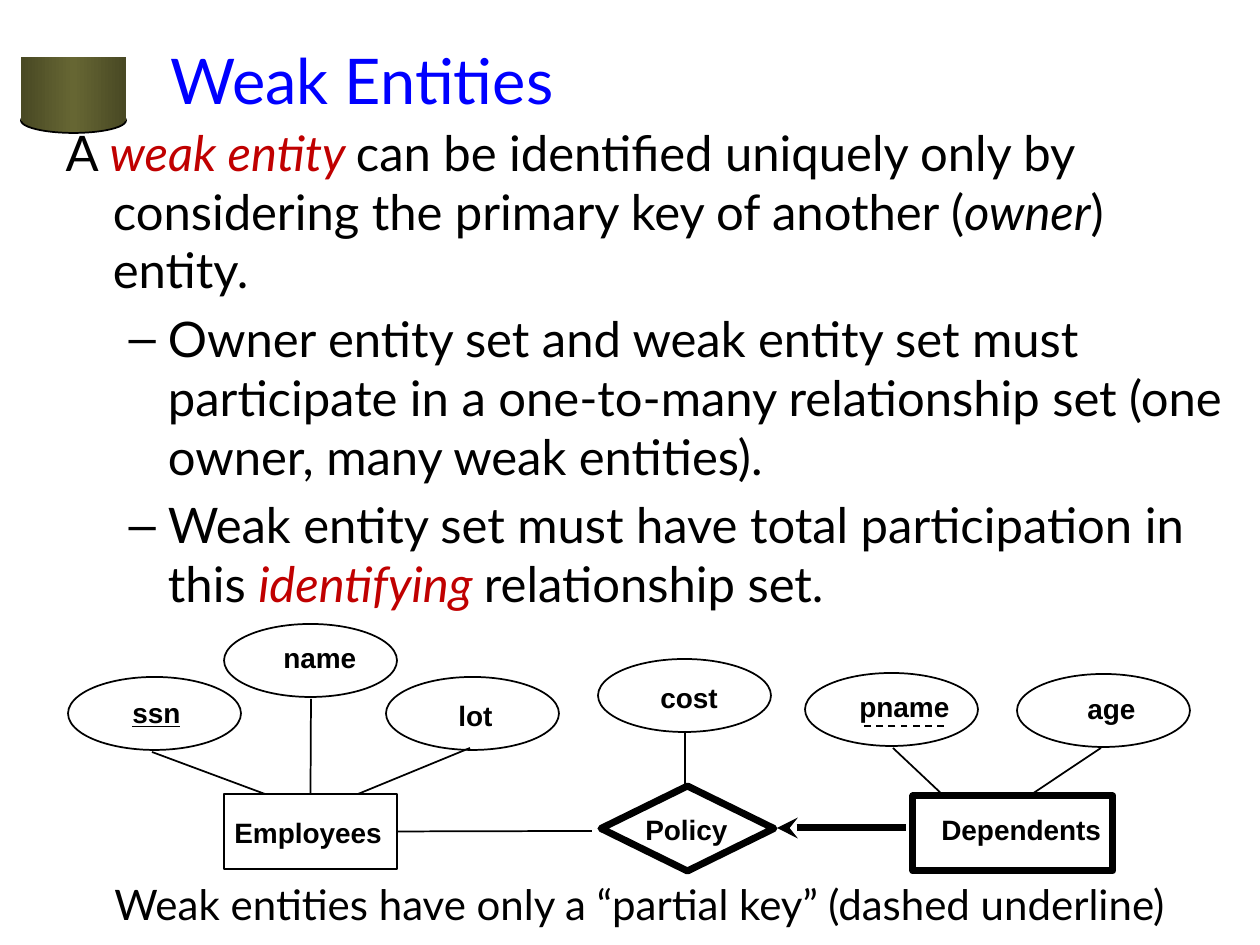
from dataclasses import dataclass

from lxml.etree import SubElement
from pptx import Presentation
from pptx.dml.color import RGBColor
from pptx.enum.dml import MSO_LINE_DASH_STYLE as Dash
from pptx.enum.shapes import MSO_CONNECTOR as Link, MSO_SHAPE as Shape
from pptx.enum.text import MSO_AUTO_SIZE as AutoSize, PP_ALIGN as Align
from pptx.oxml.ns import qn
from pptx.util import Emu, Pt


@dataclass(frozen=True)
class Theme:
    black: str = "000000"
    blue: str = "0000FF"
    red: str = "C00000"
    olive: str = "666633"
    dark_olive: str = "494924"
    text_font: str = "Lato"
    label_font: str = "Arial"
    title: int = 36
    body: int = 28
    caption: int = 24
    label: int = 16
    thin: int = 1
    thick: int = 4


THEME = Theme()
TOP, RIGHT = 0, 3
LABEL_HEIGHT = 45

BODY = [
    (0, [("A ", {}), ("weak entity ", {"color": THEME.red, "italic": True}),
         ("can be identified uniquely only by considering the primary key of another (", {}),
         ("owner", {"italic": True}), (") entity.", {})]),
    (1, [("Owner entity set and weak entity set must participate in a one-to-many "
          "relationship set (one owner, many weak entities).", {})]),
    (1, [("Weak entity set must have total participation in this ", {}),
         ("identifying ", {"color": THEME.red, "italic": True}),
         ("relationship set.", {})]),
]

OVAL_SIZE = (173, 73)
NODES = [
    ("name", Shape.OVAL, (156, 0, *OVAL_SIZE), THEME.thin, (47, 10, 102)),
    ("ssn", Shape.OVAL, (0, 53, *OVAL_SIZE), THEME.thin, (52, 12, 77)),
    ("lot", Shape.OVAL, (318, 53, *OVAL_SIZE), THEME.thin, (60, 15, 63)),
    ("cost", Shape.OVAL, (530, 35, *OVAL_SIZE), THEME.thin, (50, 15, 88)),
    ("pname", Shape.OVAL, (737, 49, *OVAL_SIZE), THEME.thin, (42, 10, 119)),
    ("age", Shape.OVAL, (949, 50, *OVAL_SIZE), THEME.thin, (58, 11, 77)),
    ("Employees", Shape.RECTANGLE, (156, 170, 173, 75), THEME.thin, (-2, 15, 177)),
    ("Policy", Shape.DIAMOND, (533, 162, 173, 85), THEME.thick, (32, 20, 114)),
    ("Dependents", Shape.RECTANGLE, (845, 172, 200, 75), THEME.thick, (16, 10, 189)),
]
LINKS = [
    ((84, 128), (197, 170)),
    ((402, 124), (290, 170)),
    ((617, 107), (617, 164)),
    ((825, 124), (876, 172)),
    ((1033, 124), (961, 172)),
]


def px(length):
    return Emu(round(length * 914400 / 126))


def place(shape, box):
    for name, value in zip(("left", "top", "width", "height"), box):
        setattr(shape, name, px(value))


def write(para, text, **formats):
    span = para.add_run()
    span.text = text
    values = {"name": THEME.text_font, "color": THEME.black, **formats}
    span.font.color.rgb = RGBColor.from_string(values.pop("color"))
    for name, value in values.items():
        setattr(span.font, name, value)


def add_label(page, box, text, **formats):
    label = page.shapes.add_textbox(*map(px, box))
    label.text_frame.word_wrap = False
    label.text_frame.auto_size = AutoSize.SHAPE_TO_FIT_TEXT
    write(label.text_frame.paragraphs[0], text, **formats)


def add_outline(page, kind, box, width):
    shape = page.shapes.add_shape(kind, *map(px, box))
    shape.shadow.inherit = False
    shape.fill.background()
    shape.line.color.rgb = RGBColor.from_string(THEME.black)
    shape.line.width = Pt(width)
    return shape


def add_link(page, box, start, end, width=THEME.thin):
    left, top = box[:2]
    link = page.shapes.add_connector(
        Link.STRAIGHT, px(left + start[0]), px(top + start[1]),
        px(left + end[0]), px(top + end[1]))
    link.line.color.rgb = RGBColor.from_string(THEME.black)
    link.line.width = Pt(width)
    SubElement(link.line._get_or_add_ln().getparent(), qn("a:effectLst"))
    return link


def add_cylinder(page, box):
    left, top, width, height = box
    base = add_outline(page, Shape.OVAL, (left, top + height - 25, width, 25), THEME.thin)
    side = add_outline(page, Shape.RECTANGLE, (left, top, width, height - 12), THEME.thin)
    side.line.fill.background()
    for shape in (base, side):
        shape.fill.gradient()
        shape.fill.gradient_angle = 0
        stops = shape._element.spPr.find(qn("a:gradFill")).find(qn("a:gsLst"))
        for stop in list(stops):
            stops.remove(stop)
        for position, color in ((0, THEME.dark_olive), (50, THEME.olive), (100, THEME.dark_olive)):
            stop = SubElement(stops, qn("a:gs"), pos=str(position * 1000))
            SubElement(stop, qn("a:srgbClr"), val=color)


def add_title(page, box):
    title = page.shapes.title
    place(title, box)
    para = title.text_frame.paragraphs[0]
    para.alignment = Align.LEFT
    write(para, "Weak Entities", size=Pt(THEME.title), color=THEME.blue)


def add_body(page, box):
    body = page.placeholders[1]
    place(body, box)
    frame = body.text_frame
    frame.auto_size = AutoSize.NONE
    for index, (level, spans) in enumerate(BODY):
        para = frame.add_paragraph() if index else frame.paragraphs[0]
        para.level = level
        if level == 0:
            SubElement(para._p.get_or_add_pPr(), qn("a:buNone"))
        for text, formats in spans:
            write(para, text, size=Pt(THEME.body), **formats)


def add_diagram(page, box):
    left, top = box[:2]
    shapes = {}
    for name, kind, (x, y, width, height), weight, (dx, dy, label_width) in NODES:
        x, y = left + x, top + y
        shapes[name] = add_outline(page, kind, (x, y, width, height), weight)
        add_label(page, (x + dx, y + dy, label_width, LABEL_HEIGHT), name,
                  name=THEME.label_font, size=Pt(THEME.label), bold=True,
                  underline=name == "ssn")
    for start, end in LINKS:
        add_link(page, box, start, end)

    name_link = add_link(page, box, (243, 75), (243, 170))
    name_link.end_connect(shapes["Employees"], TOP)
    policy_link = add_link(page, box, (524, 207), (329, 207))
    policy_link.end_connect(shapes["Employees"], RIGHT)

    partial_key = add_link(page, box, (876, 102), (791, 102))
    partial_key.line.dash_style = Dash.DASH
    arrow = add_link(page, box, (709, 204), (838, 204), THEME.thick)
    SubElement(arrow.line._get_or_add_ln(), qn("a:headEnd"), type="stealth")


def main():
    deck = Presentation()
    deck.slide_width, deck.slide_height = px(1260), px(945)
    page = deck.slides.add_slide(deck.slide_layouts[1])
    add_cylinder(page, (21, 57, 105, 76))
    add_title(page, (158, 0, 1071, 158))
    add_body(page, (53, 116, 1207, 315))
    add_diagram(page, (68, 624, 1122, 248))
    add_label(page, (102, 872, 1105, 63),
              "Weak entities have only a “partial key” (dashed underline)",
              size=Pt(THEME.caption))
    deck.save("out.pptx")


if __name__ == "__main__":
    main()
